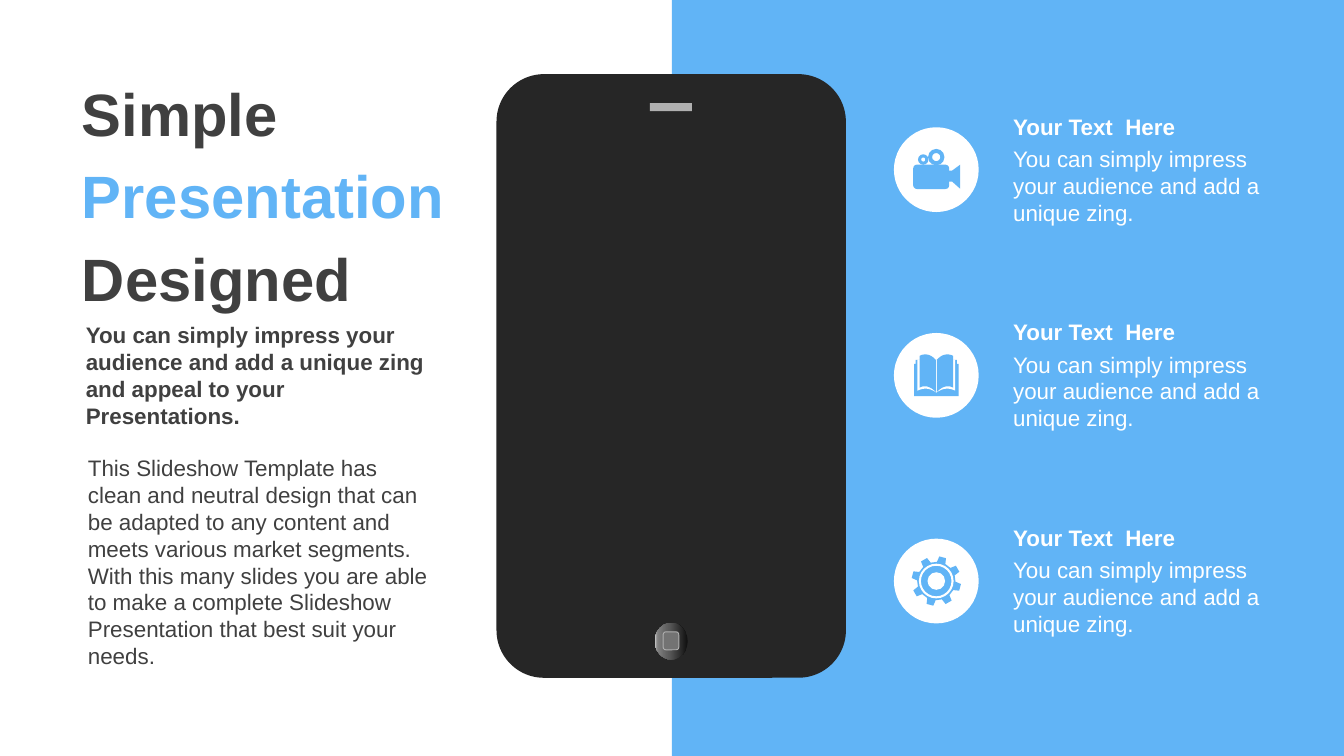
import math

from pptx import Presentation
from pptx.dml.color import RGBColor
from pptx.enum.shapes import MSO_SHAPE
from pptx.enum.text import MSO_ANCHOR, MSO_AUTO_SIZE, PP_ALIGN
from pptx.oxml import parse_xml
from pptx.oxml.ns import nsdecls, qn
from pptx.util import Pt

RECT = MSO_SHAPE.RECTANGLE
ROUND = MSO_SHAPE.ROUNDED_RECTANGLE
OVAL = MSO_SHAPE.OVAL
DONUT = MSO_SHAPE.DONUT
MIDDLE = MSO_ANCHOR.MIDDLE
TOP = MSO_ANCHOR.TOP
NO_FIT = MSO_AUTO_SIZE.NONE
LEFT = PP_ALIGN.LEFT

COLORS = {
    "white": "FFFFFF",
    "blue": "61B4F6",
    "dark": "404040",
    "phone": "262626",
    "light": "B0B0B0",
    "button": "737373",
}
HOME_STOPS = [(0, "0F0F0F"), (56, "595959"), (91, "808080"), (100, "BFBFBF")]


def color(name):
    return RGBColor.from_string(COLORS[name])


def bezier(p0, p1, p2, p3, steps=10):
    """Points along a cubic curve, both ends included."""
    points = []
    for i in range(steps + 1):
        t = i / steps
        weights = ((1 - t) ** 3, 3 * t * (1 - t) ** 2, 3 * t * t * (1 - t), t ** 3)
        points.append(tuple(sum(w * p[axis] for w, p in zip(weights, (p0, p1, p2, p3)))
                            for axis in (0, 1)))
    return points


def mirror(points):
    return [(-x, y) for x, y in points]


class Deck:
    font = "Arial"

    def __init__(self, width, height):
        self.prs = Presentation()
        self.prs.slide_width, self.prs.slide_height = Pt(width), Pt(height)
        self.slide = self.prs.slides.add_slide(self.prs.slide_layouts[5])

    def paint(self, shape, fill, line=None):
        shape.shadow.inherit = False
        shape.fill.solid()
        shape.fill.fore_color.rgb = color(fill)
        if line:
            shape.line.color.rgb = color(line)
            shape.line.width = Pt(0.5)
        else:
            shape.line.fill.background()
        return shape

    def shape(self, kind, x, y, w, h, fill, line=None, adj=None):
        shape = self.slide.shapes.add_shape(kind, Pt(x), Pt(y), Pt(w), Pt(h))
        if adj is not None:
            shape.adjustments[0] = adj
        return self.paint(shape, fill, line)

    def disc(self, cx, cy, radius, fill):
        return self.shape(OVAL, cx - radius, cy - radius, 2 * radius, 2 * radius, fill)

    def ring(self, cx, cy, radius, thickness, fill):
        return self.shape(DONUT, cx - radius, cy - radius, 2 * radius, 2 * radius,
                          fill, adj=thickness / (2 * radius))

    def outline(self, cx, cy, points, fill):
        """Closed outline whose points are measured from (cx, cy)."""
        start, *others = [(Pt(cx + x), Pt(cy + y)) for x, y in points]
        builder = self.slide.shapes.build_freeform(*start, scale=1.0)
        builder.add_line_segments(others, close=True)
        return self.paint(builder.convert_to_shape(), fill)

    def gradient(self, shape, stops, angle):
        shape.fill.gradient()
        shape.fill.gradient_angle = angle
        stop_list = shape._element.spPr.find(".//" + qn("a:gsLst"))
        for stop in list(stop_list):
            stop_list.remove(stop)
        for position, rgb in stops:
            stop_list.append(parse_xml(
                f'<a:gs {nsdecls("a")} pos="{position * 1000}">'
                f'<a:srgbClr val="{rgb}"/></a:gs>'))

    def fill_frame(self, frame, runs, size, bold, anchor=TOP, spacing=None):
        frame.word_wrap = True
        frame.auto_size = NO_FIT
        frame.vertical_anchor = anchor
        paragraph = frame.paragraphs[0]
        paragraph.alignment = LEFT
        if spacing:
            paragraph.line_spacing = spacing
        for text, fill in runs:
            run = paragraph.add_run()
            run.text = text
            run.font.name, run.font.size, run.font.bold = self.font, Pt(size), bold
            run.font.color.rgb = color(fill)

    def title(self, x, y, w, h, runs):
        title = self.slide.shapes.title
        title.left, title.top, title.width, title.height = Pt(x), Pt(y), Pt(w), Pt(h)
        self.fill_frame(title.text_frame, runs, 32, True, MIDDLE, 1.15)

    def text(self, x, y, w, h, text, fill, bold=False):
        box = self.slide.shapes.add_textbox(Pt(x), Pt(y), Pt(w), Pt(h))
        self.fill_frame(box.text_frame, [(text, fill)], 12, bold)


def draw_camera(deck, cx, cy):
    deck.shape(ROUND, cx - 12.4, cy - 2.7, 19.3, 13.1, "blue", adj=0.16)
    deck.ring(cx, cy - 6.7, 4.4, 2.2, "blue")
    deck.ring(cx - 7, cy - 5.4, 2.8, 1.7, "blue")
    lens = [(6.9, 0.5), (8.5, 0.5), (12.8, -2.7), (12.8, 10.2), (8.5, 6.4), (6.9, 6.4)]
    deck.outline(cx, cy, lens, "blue")


def draw_book(deck, cx, cy):
    cover = [(11.1, -8.3), (11.1, -6.2), (11.9, -6.2), (11.9, 11.1)]
    gap = [(10.1, -8.4), *bezier((10.1, 8.2), (6.5, 6.5), (3.5, 6.8), (0, 9.2))]
    page = (bezier((0.3, -8.3), (2.2, -10.4), (3.9, -11.2), (5.9, -11.2))
            + bezier((5.9, -11.2), (7.1, -11.2), (8, -11), (9, -10.4))
            + bezier((9, 6.6), (6.2, 5), (3, 6), (0.3, 8.9)))
    for half, fill in ((cover, "blue"), (gap, "white")):
        deck.outline(cx, cy, half + mirror(half)[::-1], fill)
    for side in (page, mirror(page)):
        deck.outline(cx, cy, side, "blue")


def draw_gear(deck, cx, cy, teeth=8):
    profile = [(-13, 10.3), (-8, 13.3), (8, 13.3), (13, 10.3)]
    points = []
    for tooth in range(teeth):
        for offset, radius in profile:
            angle = math.radians(15 + tooth * 360 / teeth + offset)
            points.append((radius * math.sin(angle), -radius * math.cos(angle)))
    deck.outline(cx, cy, points, "blue")
    deck.ring(cx, cy, 9.3, 1.1, "white")
    deck.disc(cx, cy, 4.7, "white")


def main():
    deck = Deck(720, 405)

    # Right-hand panel
    deck.shape(RECT, 360, 0, 360, 405, "blue")

    # Phone
    deck.shape(ROUND, 266, 39.7, 187.2, 323.4, "phone", adj=0.136)
    deck.shape(RECT, 348.2, 55.2, 22.5, 4.4, "light")
    home = deck.shape(OVAL, 350.8, 333.6, 17.6, 19.8, "phone")
    deck.gradient(home, HOME_STOPS, 180)
    deck.shape(ROUND, 355.3, 338.5, 8.4, 9.6, "button", line="light")

    # Title and introduction
    deck.title(36.7, 40.3, 215.3, 122.4, [
        ("Simple ", "dark"), ("Presentation ", "blue"), ("Designed", "dark")])
    deck.text(38.9, 168.5, 201.6, 65.5,
              "You can simply impress your audience and add a unique zing "
              "and appeal to your Presentations.", "dark", bold=True)
    # The product name in this paragraph is given as a generic word
    deck.text(40, 239.8, 200.2, 124.6,
              "This Slideshow Template has clean and neutral design that can be "
              "adapted to any content and meets various market segments. With this "
              "many slides you are able to make a complete Slideshow Presentation "
              "that best suit your needs.", "dark")

    # Features: icon, heading and description
    icon_x, first_y, pitch = 501.6, 90.9, 110.2
    for row, draw_icon in enumerate((draw_camera, draw_book, draw_gear)):
        icon_y = first_y + row * pitch
        deck.disc(icon_x, icon_y, 22.7, "white")
        draw_icon(deck, icon_x, icon_y)
        deck.text(535.7, icon_y - 34, 151.2, 21.6, "Your Text  Here", "white", bold=True)
        deck.text(535.7, icon_y - 16.8, 151.2, 51.1,
                  "You can simply impress your audience and add a unique zing.", "white")

    deck.prs.save("out.pptx")


if __name__ == "__main__":
    main()
